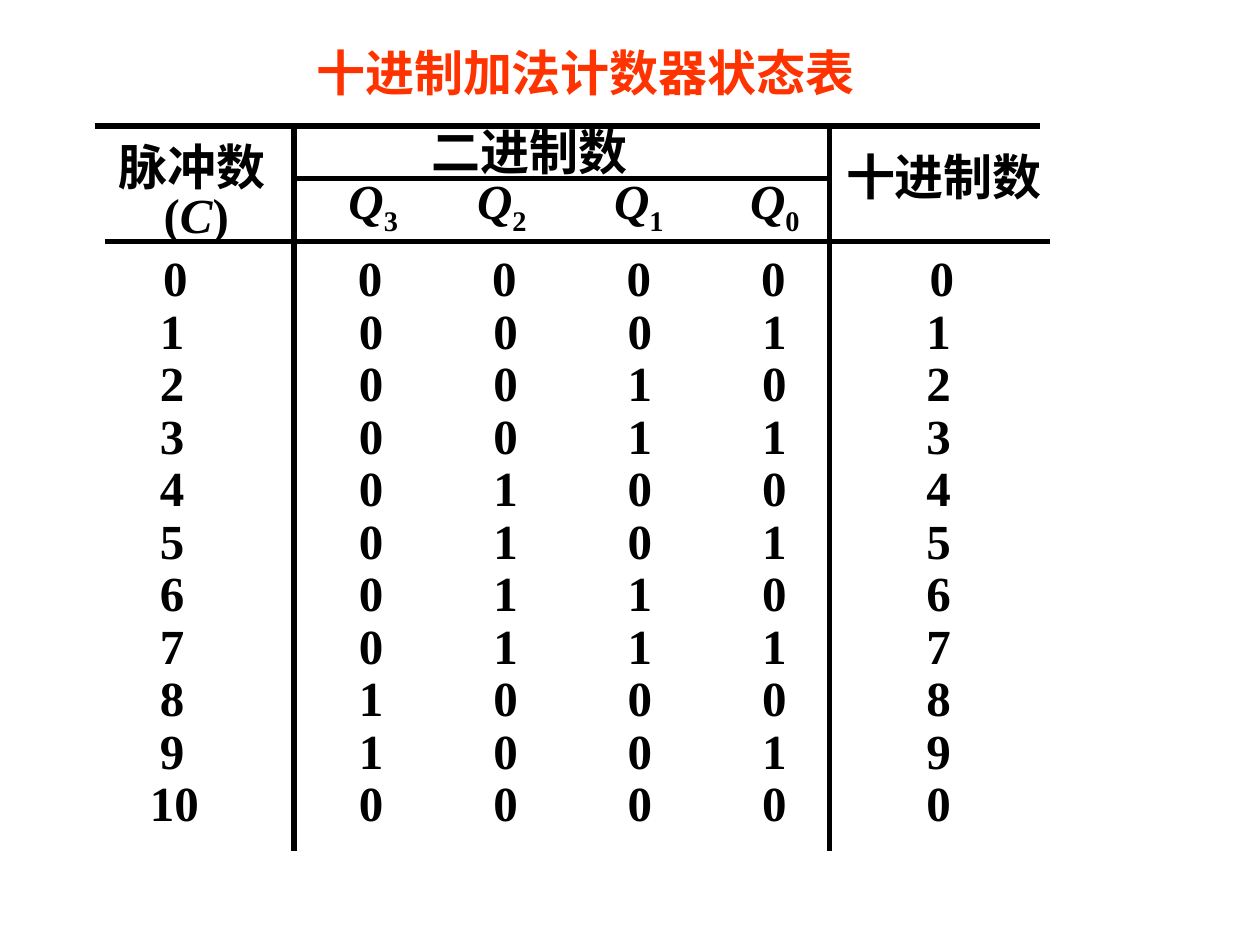
from dataclasses import dataclass
from typing import NamedTuple

from lxml.etree import SubElement
from pptx import Presentation
from pptx.dml.color import RGBColor
from pptx.enum.shapes import MSO_CONNECTOR
from pptx.enum.text import MSO_ANCHOR, MSO_AUTO_SIZE, PP_ALIGN
from pptx.oxml.ns import qn
from pptx.util import Emu, Pt

PX = 7620  # EMU per px, 120 px to the inch
BOX_H = 68
ROW_TOP, ROW_STEP = 230, 50
BIT_STEP = 128  # from one Q column to the next


@dataclass(frozen=True)
class Theme:
    font: str = "Times New Roman"
    size: Pt = Pt(28)
    rule: Pt = Pt(3)
    ink: RGBColor = RGBColor(0, 0, 0)
    title: RGBColor = RGBColor(0xFF, 0x33, 0)


class Rule(NamedTuple):
    x1: int
    y1: int
    x2: int
    y2: int


class Piece(NamedTuple):
    text: str
    italic: bool = False
    subscript: bool = False


class Label(NamedTuple):
    x: int
    y: int
    w: int
    pieces: tuple[Piece, ...]
    align: PP_ALIGN = PP_ALIGN.CENTER
    tabs: tuple[int, ...] = ()


THEME = Theme()

RULES = [
    Rule(90, 120, 990, 120),
    Rule(280, 120, 280, 810),
    Rule(790, 120, 790, 810),
    Rule(100, 230, 1000, 230),
    Rule(280, 170, 790, 170),
]

TITLE = Label(288, 34, 539, (Piece("十进制加法计数器状态表"),))

HEADINGS = [
    Label(398, 110, 212, (Piece("二进制数"),)),
    Label(100, 124, 166, (Piece("脉冲数"),)),
    Label(144, 170, 88, (Piece("("), Piece("C", italic=True), Piece(")")), PP_ALIGN.LEFT),
    Label(793, 134, 212, (Piece("十进制数"),)),
]

# bit number: left edge and width of its heading
Q_BOXES = {3: (300, 111), 2: (441, 74), 1: (570, 77), 0: (701, 74)}


def px(n: int) -> Emu:
    return Emu(n * PX)


def add_rule(shapes, rule: Rule) -> None:
    line = shapes.add_connector(MSO_CONNECTOR.STRAIGHT, *map(px, rule))
    line.line.color.rgb = THEME.ink
    line.line.width = THEME.rule
    SubElement(line._element.spPr, qn("a:effectLst"))


def add_tabs(p, stops: tuple[int, ...]) -> None:
    tab_list = SubElement(p._p.get_or_add_pPr(), qn("a:tabLst"))
    for stop in stops:
        SubElement(tab_list, qn("a:tab"), pos=str(px(stop)), algn="l")


def add_label(shapes, label: Label, color: RGBColor = THEME.ink) -> None:
    sp = shapes.add_textbox(px(label.x), px(label.y), px(label.w), px(BOX_H))
    tf = sp.text_frame
    tf.word_wrap = bool(label.tabs)
    tf.auto_size = MSO_AUTO_SIZE.SHAPE_TO_FIT_TEXT
    tf.vertical_anchor = MSO_ANCHOR.MIDDLE
    p = tf.paragraphs[0]
    p.alignment = label.align
    if label.tabs:
        add_tabs(p, label.tabs)
    p.font.name = THEME.font
    p.font.size = THEME.size
    p.font.bold = True
    p.font.color.rgb = color
    for piece in label.pieces:
        r = p.add_run()
        r.text = piece.text
        if piece.italic:
            r.font.italic = True
        if piece.subscript:
            r._r.get_or_add_rPr().set("baseline", "-25000")


def add_state_row(shapes, pulse: int) -> None:
    """Pulse count, four tabbed bits and the decimal digit it wraps to."""
    y = ROW_TOP + ROW_STEP * pulse
    state = pulse % 10
    pulse_x, pulse_w = (130, 72) if pulse > 9 else (140, 48)
    # the first row stands slightly off the columns below it
    pulse_shift, bit_shift, state_shift = (3, -1, 3) if pulse == 0 else (0, 0, 0)
    stops = tuple(BIT_STEP * i for i in (1, 2, 3))
    add_label(shapes, Label(pulse_x + pulse_shift, y, pulse_w, (Piece(str(pulse)),)))
    add_label(shapes, Label(330 + bit_shift, y, 433, (Piece("\t".join(f"{state:04b}")),),
                            PP_ALIGN.LEFT, stops))
    add_label(shapes, Label(870 + state_shift, y, 48, (Piece(str(state)),)))


def main() -> None:
    prs = Presentation()
    prs.slide_width, prs.slide_height = px(1200), px(900)
    shapes = prs.slides.add_slide(prs.slide_layouts[6]).shapes
    for rule in RULES:
        add_rule(shapes, rule)
    for heading in HEADINGS:
        add_label(shapes, heading)
    for bit, (x, w) in Q_BOXES.items():
        pieces = (Piece("Q", italic=True), Piece(str(bit), subscript=True))
        add_label(shapes, Label(x, 160, w, pieces))
    for pulse in range(11):
        add_state_row(shapes, pulse)
    add_label(shapes, TITLE, THEME.title)
    prs.save("out.pptx")


if __name__ == "__main__":
    main()
